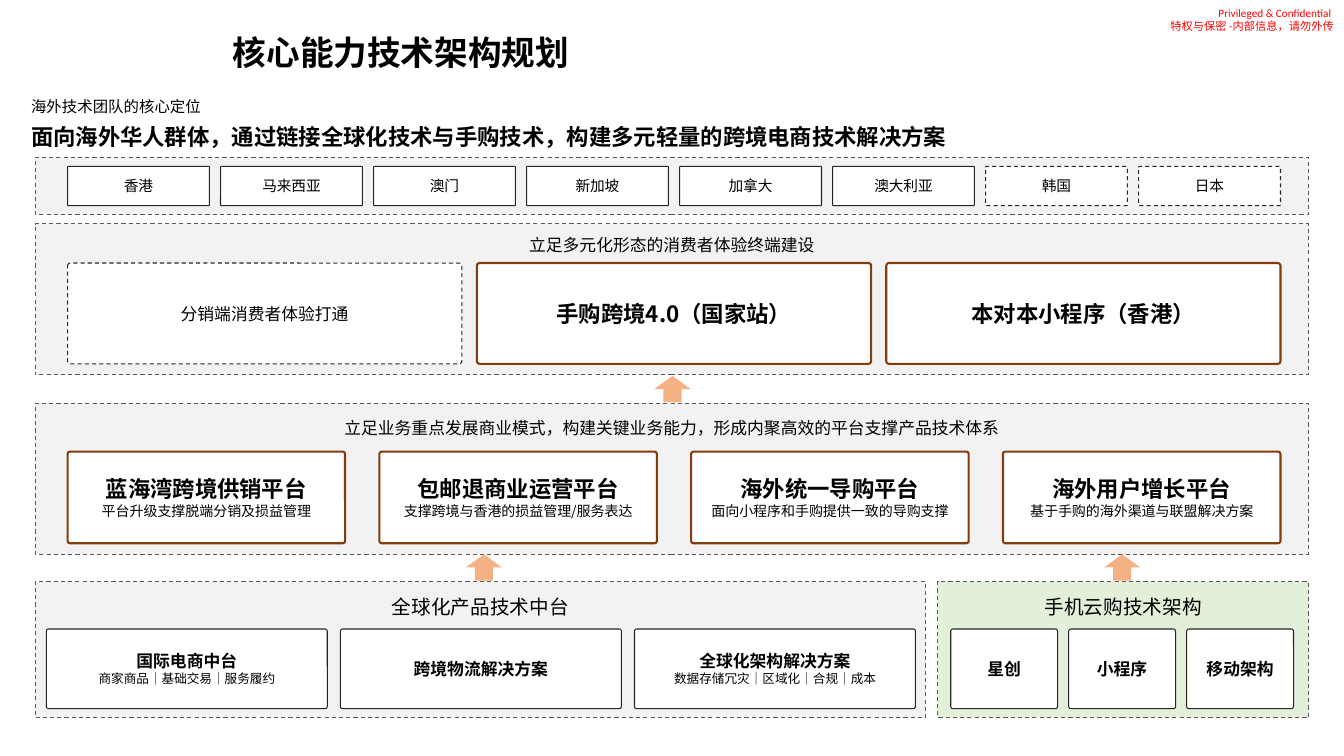
from lxml import etree
from pptx import Presentation
from pptx.dml.color import RGBColor
from pptx.enum.dml import MSO_LINE
from pptx.enum.shapes import MSO_SHAPE
from pptx.enum.text import MSO_ANCHOR, MSO_AUTO_SIZE, PP_ALIGN
from pptx.oxml.ns import qn
from pptx.util import Inches, Pt

RECT, ROUNDED, ARROW = MSO_SHAPE.RECTANGLE, MSO_SHAPE.ROUNDED_RECTANGLE, MSO_SHAPE.UP_ARROW
LEFT, CENTER, RIGHT = PP_ALIGN.LEFT, PP_ALIGN.CENTER, PP_ALIGN.RIGHT
DASH = MSO_LINE.DASH
CJK = "Noto Sans CJK SC"
GREY, GREEN, WHITE, ORANGE = "F2F2F2", "E2F0D9", "FFFFFF", "F4B183"
BLACK, RED = "000000", "FF0000"
# Card borders: colour, width in points, dash
PLAIN, PLANNED, KEY = ("262626", 0.75, None), ("262626", 0.75, DASH), ("843C0B", 1.5, None)
PANEL_BORDER = ("595959", 0.75, DASH)

TITLE = "核心能力技术架构规划"
NOTICE = ["Privileged & Confidential ", "特权与保密 -内部信息，请勿外传"]
POSITIONING = "海外技术团队的核心定位"
MISSION = "面向海外华人群体，通过链接全球化技术与手购技术，构建多元轻量的跨境电商技术解决方案"

# box: left, top, width, height; heading: text, size, top
# row: left, right, top, height, gap; card: border, name, detail
PANELS = [
    dict(box=(0.35, 1.56, 12.63, 0.57), fill=GREY, heading=None,
         row=(0.67, 12.7, 1.65, 0.39, 0.11), size=10.5, bold=False, detail_size=9,
         cards=[(PLAIN, "香港"), (PLAIN, "马来西亚"), (PLAIN, "澳门"), (PLAIN, "新加坡"),
                (PLAIN, "加拿大"), (PLAIN, "澳大利亚"), (PLANNED, "韩国"), (PLANNED, "日本")]),
    dict(box=(0.35, 2.22, 12.63, 1.5), fill=GREY,
         heading=("立足多元化形态的消费者体验终端建设", 12, 2.28),
         row=(0.67, 12.7, 2.61, 1, 0.15), size=16, bold=True, detail_size=10,
         cards=[(PLANNED, "分销端消费者体验打通"), (KEY, "手购跨境4.0（国家站）"),
                (KEY, "本对本小程序（香港）")]),
    dict(box=(0.35, 4, 12.63, 1.5), fill=GREY,
         heading=("立足业务重点发展商业模式，构建关键业务能力，形成内聚高效的平台支撑产品技术体系", 12, 4.1),
         row=(0.67, 12.7, 4.48, 0.91, 0.34), size=16, bold=True, detail_size=10,
         cards=[(KEY, "蓝海湾跨境供销平台", "平台升级支撑脱端分销及损益管理"),
                (KEY, "包邮退商业运营平台", "支撑跨境与香港的损益管理/服务表达"),
                (KEY, "海外统一导购平台", "面向小程序和手购提供一致的导购支撑"),
                (KEY, "海外用户增长平台", "基于手购的海外渠道与联盟解决方案")]),
    dict(box=(0.35, 5.77, 8.83, 1.35), fill=GREY, heading=("全球化产品技术中台", 14, 5.85),
         row=(0.46, 9.08, 6.24, 0.79, 0.13), size=12, bold=True, detail_size=9,
         cards=[(PLAIN, "国际电商中台", "商家商品｜基础交易｜服务履约"),
                (PLAIN, "跨境物流解决方案"),
                (PLAIN, "全球化架构解决方案", "数据存储冗灾｜区域化｜合规｜成本")]),
    dict(box=(9.3, 5.77, 3.68, 1.35), fill=GREEN, heading=("手机云购技术架构", 14, 5.85),
         row=(9.43, 12.83, 6.24, 0.79, 0.11), size=12, bold=True, detail_size=9,
         cards=[(PLAIN, "星创"), (PLAIN, "小程序"), (PLAIN, "移动架构")]),
]
ARROWS = [(6.67, 3.73), (4.8, 5.5), (11.13, 5.5)]  # centre, top
ARROW_SIZE = (0.36, 0.26)


def color(hex_string):
    return RGBColor.from_string(hex_string)


def write(frame, lines, align=LEFT, font=CJK, ink=BLACK, anchor=MSO_ANCHOR.TOP, wrap=True):
    """Fill a text frame with (text, size, bold) lines, one paragraph each."""
    frame.word_wrap = wrap
    frame.vertical_anchor = anchor
    frame.auto_size = MSO_AUTO_SIZE.NONE
    for index, (text, size, bold) in enumerate(lines):
        para = frame.add_paragraph() if index else frame.paragraphs[0]
        para.alignment = align
        span = para.add_run()
        span.text = text
        span.font.name = font
        east_asian = etree.SubElement(span.font._element, qn("a:ea"))
        east_asian.set("typeface", CJK)
        span.font.size = Pt(size)
        span.font.bold = bold
        span.font.color.rgb = color(ink)


def add_text(slide, at, lines, **style):
    box = slide.shapes.add_textbox(*map(Inches, at))
    write(box.text_frame, lines, **style)


def add_box(slide, kind, at, fill, border=None):
    box = slide.shapes.add_shape(kind, *map(Inches, at))
    box.shadow.inherit = False
    box.fill.solid()
    box.fill.fore_color.rgb = color(fill)
    if border:
        ink, width, dash = border
        box.line.color.rgb = color(ink)
        box.line.width = Pt(width)
        if dash:
            box.line.dash_style = dash
    else:
        box.line.fill.background()
    return box


def add_card(slide, at, border, names, panel):
    size, bold = panel["size"], panel["bold"]
    if border is PLANNED and bold:
        size, bold = 12, False
    card = add_box(slide, ROUNDED, at, WHITE, border)
    card.adjustments[0] = 0.027
    lines = [(names[0], size, bold)]
    lines += [(detail, panel["detail_size"], False) for detail in names[1:]]
    write(card.text_frame, lines, align=CENTER, anchor=MSO_ANCHOR.MIDDLE)


def add_panel(slide, panel):
    add_box(slide, RECT, panel["box"], panel["fill"], PANEL_BORDER)
    if panel["heading"]:
        text, size, top = panel["heading"]
        width = len(text) * size / 72 + 0.22
        left = panel["box"][0] + (panel["box"][2] - width) / 2
        add_text(slide, (left, top, width, size / 40), [(text, size, False)],
                 align=CENTER, wrap=False)
    left, right, top, height, gap = panel["row"]
    step = (right - left + gap) / len(panel["cards"])
    for column, (border, *names) in enumerate(panel["cards"]):
        add_card(slide, (left + column * step, top, step - gap, height), border, names, panel)


def main():
    deck = Presentation()
    deck.slide_width, deck.slide_height = Inches(13.33), Inches(7.5)
    slide = deck.slides.add_slide(deck.slide_layouts[5])
    title = slide.shapes.title
    title.left, title.top, title.width, title.height = map(Inches, (2.21, 0.27, 3.57, 0.5))
    write(title.text_frame, [(TITLE, 24, True)], wrap=False)
    add_text(slide, (10.96, 0.01, 2.37, 0.37), [(line, 8, False) for line in NOTICE],
             align=RIGHT, font="Calibri", ink=RED)
    add_text(slide, (0.21, 0.91, 1.9, 0.29), [(POSITIONING, 11, False)], wrap=False)
    add_text(slide, (0.21, 1.17, 9.4, 0.37), [(MISSION, 16, True)], wrap=False)
    for panel in PANELS:
        add_panel(slide, panel)
    for center, top in ARROWS:
        add_box(slide, ARROW, (center - ARROW_SIZE[0] / 2, top, *ARROW_SIZE), ORANGE)
    deck.save("out.pptx")


if __name__ == "__main__":
    main()
